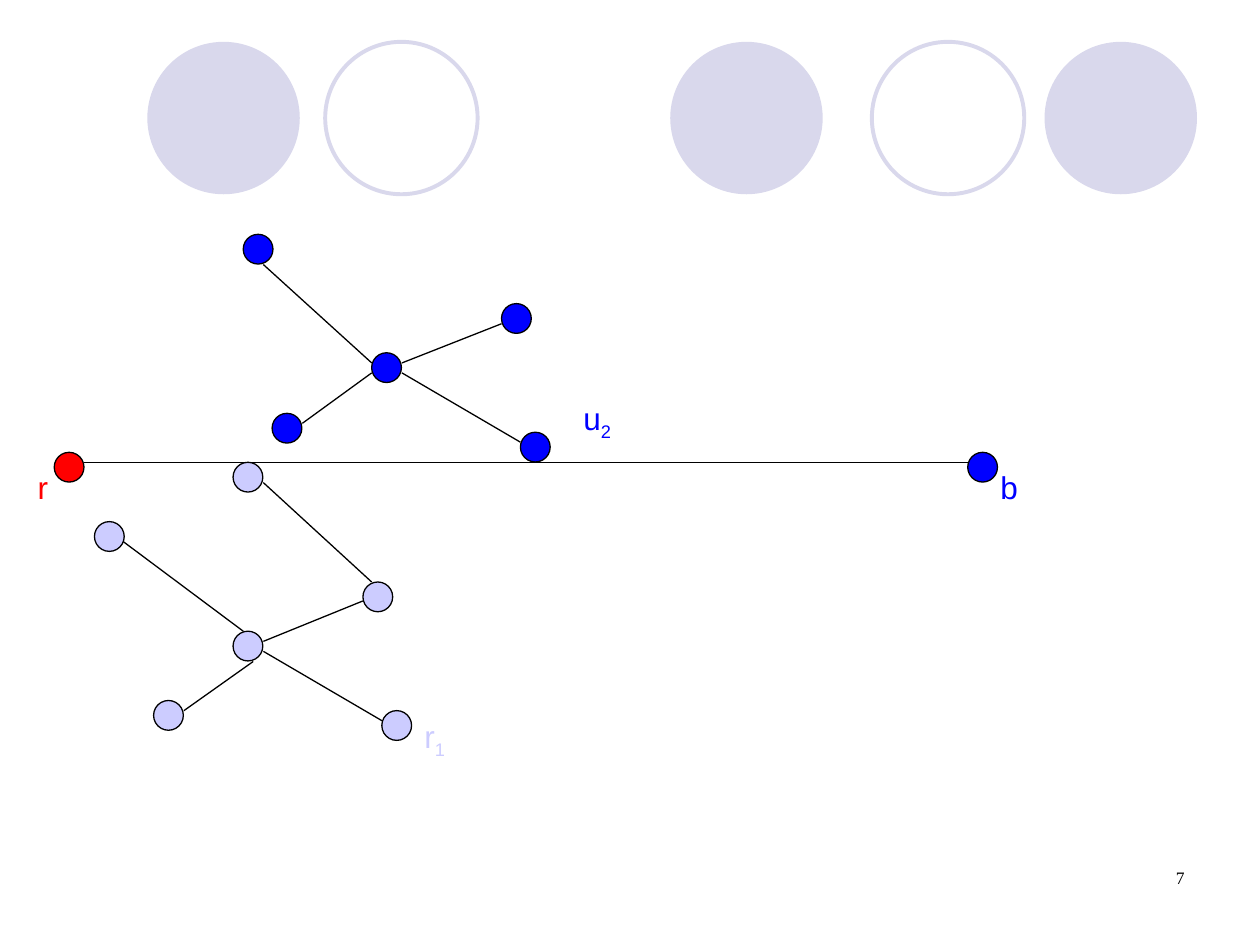
from lxml import etree
from pptx import Presentation
from pptx.dml.color import RGBColor
from pptx.enum import shapes as kinds, text as txt
from pptx.oxml import ns
from pptx.util import Pt

HUES = {"mist": "D9D8EC", "pale": "CCCCFF", "red": "FF0000",
        "blue": "0000FF", "black": "000000"}

DISCS = [(383, True), (596.9, True), (84.2, True), (498.2, False), (185.8, False)]

LOWER = [(133.2, 264.2), (207.4, 332.6), (54, 298.1),
         (87.8, 400.3), (133.2, 360.7), (218.2, 406.1)]
LOWER_EDGES = [(70.6, 309.6, 139, 360.7), (105.1, 406.1, 144.7, 378),
               (150.5, 372.2, 218.2, 411.8), (150.5, 366.5, 207.4, 343.4),
               (150.5, 275.8, 212.4, 332.6)]

UPPER = [(139, 133.9), (286.6, 173.5), (155.5, 236.2),
         (212.4, 201.6), (297.4, 247)]
UPPER_EDGES = [(172.8, 241.9, 212.4, 213.1), (229.7, 213.1, 297.4, 252.7),
               (229.7, 207.4, 286.6, 185), (150.5, 151.2, 212.4, 207.4)]

BASE_EDGE = (48.2, 264.2, 553, 264.2)


def hue(name):
    return RGBColor.from_string(HUES[name])


def apply(thing, style):
    for key, value in style.items():
        setattr(thing, key, value)


def add_ring(slide, x, y, size, fill=None, line=None, width=0.75):
    ring = slide.shapes.add_shape(
        kinds.MSO_SHAPE.OVAL, Pt(x), Pt(y), Pt(size), Pt(size))
    ring.shadow.inherit = False
    if fill:
        ring.fill.solid()
        ring.fill.fore_color.rgb = hue(fill)
    else:
        ring.fill.background()
    if line:
        ring.line.color.rgb = hue(line)
        ring.line.width = Pt(width)
    else:
        ring.line.fill.background()


def add_node(slide, x, y, fill):
    add_ring(slide, x, y, 17, fill, "black")


def add_edge(slide, *ends):
    edge = slide.shapes.add_connector(
        kinds.MSO_CONNECTOR.STRAIGHT, *[Pt(end) for end in ends])
    edge.line.color.rgb = hue("black")
    edge.line.width = Pt(0.75)
    etree.SubElement(edge._element.spPr, ns.qn("a:effectLst"))


def add_tree(slide, nodes, edges, fill):
    for x, y in nodes:
        add_node(slide, x, y, fill)
    for ends in edges:
        add_edge(slide, *ends)


def add_label(slide, box, word, tint, sub="", face="Arial", size=18,
              align=txt.PP_ALIGN.LEFT):
    frame = slide.shapes.add_textbox(*[Pt(side) for side in box]).text_frame
    apply(frame, {"word_wrap": True, "vertical_anchor": txt.MSO_ANCHOR.TOP})
    para = frame.paragraphs[0]
    para.alignment = align
    for part in filter(None, (word, sub)):
        run = para.add_run()
        run.text = part
        apply(run.font, {"name": face, "size": Pt(size)})
        run.font.color.rgb = hue(tint)
    if sub:
        run._r.get_or_add_rPr().set("baseline", "-25000")


def main():
    deck = Presentation()
    apply(deck, {"slide_width": Pt(720), "slide_height": Pt(540)})
    slide = deck.slides.add_slide(deck.slide_layouts[6])

    for x, solid in DISCS:
        add_ring(slide, x, 23.9, 87.1, "mist" if solid else None,
                 None if solid else "mist", 2.25)

    add_tree(slide, LOWER, LOWER_EDGES, "pale")
    add_node(slide, 31, 258.5, "red")
    add_node(slide, 553, 258.5, "blue")
    add_edge(slide, *BASE_EDGE)
    add_label(slide, (14.4, 264.2, 23, 28.8), "r", "red")
    add_label(slide, (564.5, 264.2, 23, 28.8), "b", "blue")
    add_tree(slide, UPPER, UPPER_EDGES, "blue")
    add_label(slide, (235.4, 406.1, 39.6, 31.7), "r", "pale", "1")
    add_label(slide, (326.2, 224.6, 39.6, 31.7), "u", "blue", "2")
    add_label(slide, (516.2, 491.8, 167.8, 36), "7", "black",
              face="Times New Roman", size=10, align=txt.PP_ALIGN.RIGHT)
    deck.save("out.pptx")


if __name__ == "__main__":
    main()
